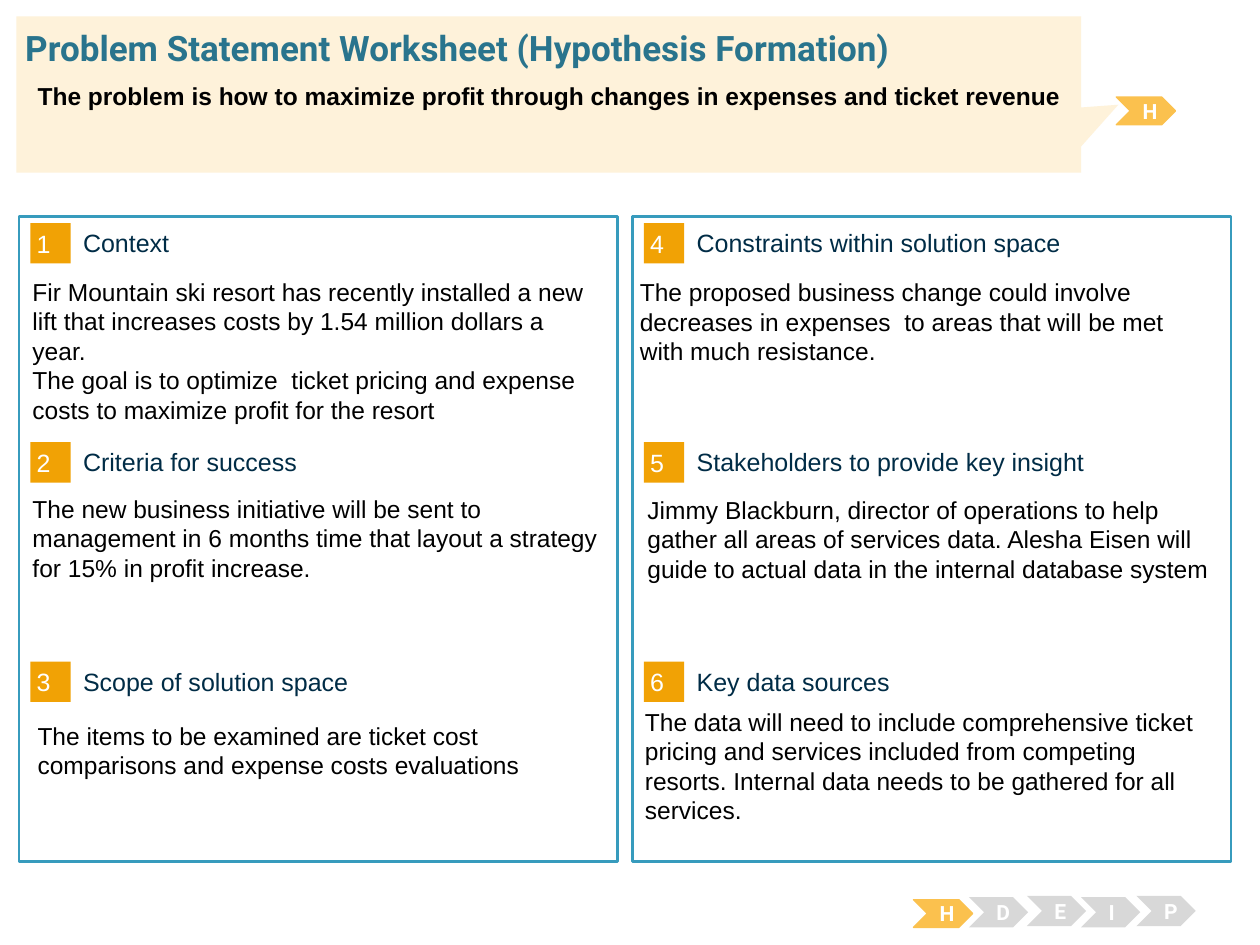
import pptx
import pptx.util
import pptx.dml.color
import pptx.enum.shapes
import pptx.enum.text

Inches = pptx.util.Inches
SHAPES = pptx.enum.shapes.MSO_SHAPE
ALIGN = pptx.enum.text.PP_ALIGN
ANCHOR = pptx.enum.text.MSO_ANCHOR

COLORS = {
    "white": "FFFFFF", "black": "000000", "frame": "379BBD", "badge": "F1A205",
    "heading": "002C46", "active": "FBC14E", "idle": "D8D8D8",
    "banner": "FEF2DA", "title": "29748D",
}
TITLE = "Problem Statement Worksheet (Hypothesis Formation)"
PROBLEM = "The problem is how to maximize profit through changes in expenses and ticket revenue"
COLUMNS = [
    [
        ("Context", (0.16, 2.15, 1.36), [
            "Fir Mountain ski resort has recently installed a new lift that increases costs by 1.54 million dollars a year.",
            "The goal is to optimize  ticket pricing and expense costs to maximize profit for the resort"]),
        ("Criteria for success", (0.16, 3.87, 1.54), [
            "The new business initiative will be sent to management in 6 months time that layout a strategy for 15% in profit increase."]),
        ("Scope of solution space", (0.2, 5.67, 0.82), [
            "The items to be examined are ticket cost comparisons and expense costs evaluations"]),
    ],
    [
        ("Constraints within solution space", (4.98, 2.15, 1.18), [
            "The proposed business change could involve decreases in expenses  to areas that will be met with much resistance."]),
        ("Stakeholders to provide key insight", (5.04, 3.88, 1.18), [
            "Jimmy Blackburn, director of operations to help gather all areas of services data. Alesha Eisen will guide to actual data in the internal database system"]),
        ("Key data sources", (5.02, 5.56, 1.18), [
            "The data will need to include comprehensive ticket pricing and services included from competing resorts. Internal data needs to be gathered for all services."]),
    ],
]
STAGES = [("H", 7.25, 7.14), ("D", 7.69, 7.12), ("E", 8.15, 7.11),
          ("I", 8.58, 7.12), ("P", 9.02, 7.11), ("H", 8.86, 0.77)]
PANEL_LEFT, PANEL_TOP, PANEL_WIDTH, PANEL_HEIGHT = 0.15, 1.72, 4.75, 5.12
COLUMN_STEP, ROW_STEP = 4.87, 1.74
BODY_WIDTH = 4.73


def rgb(name):
    return pptx.dml.color.RGBColor.from_string(COLORS[name])


def write(box, texts, size, color, font="Arial", bold=False, align=ALIGN.LEFT,
          anchor=ANCHOR.TOP, insets=(0.1, 0.05)):
    frame = box.text_frame
    frame.word_wrap = True
    frame.auto_size = pptx.enum.text.MSO_AUTO_SIZE.NONE
    frame.vertical_anchor = anchor
    frame.margin_left = frame.margin_right = Inches(insets[0])
    frame.margin_top = frame.margin_bottom = Inches(insets[1])
    frame.text = "\n".join(texts)
    for para in frame.paragraphs:
        para.alignment = align
        para.font.name = font
        para.font.size = pptx.util.Pt(size)
        para.font.bold = bold
        para.font.color.rgb = rgb(color)


def add_shape(kind, place, fill, line=None, weight=0.75):
    shape = page.shapes.add_shape(kind, *map(Inches, place))
    shape.shadow.inherit = False
    shape.fill.solid()
    shape.fill.fore_color.rgb = rgb(fill)
    if line:
        shape.line.color.rgb = rgb(line)
        shape.line.width = pptx.util.Pt(weight)
    else:
        shape.line.fill.background()
    return shape


def add_text(place, texts, size, color, **style):
    write(page.shapes.add_textbox(*map(Inches, place)), texts, size, color, **style)


deck = pptx.Presentation()
deck.slide_width, deck.slide_height = Inches(10), Inches(7.5)
page = deck.slides.add_slide(deck.slide_layouts[5])

for column, sections in enumerate(COLUMNS):
    left = PANEL_LEFT + column * COLUMN_STEP
    add_shape(SHAPES.RECTANGLE, (left, PANEL_TOP, PANEL_WIDTH, PANEL_HEIGHT),
              "white", "frame", 1.5)
    for row, (heading, (body_left, body_top, body_height), texts) in enumerate(sections):
        top = PANEL_TOP + 0.05 + row * ROW_STEP
        badge = add_shape(SHAPES.RECTANGLE, (left + 0.09, top, 0.32, 0.32), "badge")
        number = column * len(sections) + row + 1
        write(badge, [str(number)], 14.3, "white", anchor=ANCHOR.MIDDLE, insets=(0.05, 0.05))
        add_text((left + 0.51, top + 0.03, 3.93, 0.25), [heading], 14.3, "heading",
                 anchor=ANCHOR.MIDDLE, insets=(0, 0))
        add_text((body_left, body_top, BODY_WIDTH, body_height), texts, 14, "black")

for letter, left, top in STAGES:
    active = letter == "H"
    chevron = add_shape(SHAPES.CHEVRON, (left, top, 0.47, 0.22 if active else 0.24),
                        "active" if active else "idle", "active" if active else None)
    write(chevron, [letter], 12, "white", font="Roboto", bold=True,
          align=ALIGN.CENTER, anchor=ANCHOR.MIDDLE)

banner = add_shape(SHAPES.RECTANGULAR_CALLOUT, (0.13, 0.13, 8.45, 1.24), "banner")
banner.adjustments[0], banner.adjustments[1] = 0.535, 0.066

title = page.shapes.title
title.left, title.top, title.width, title.height = map(Inches, (0.2, 0.21, 9.62, 0.34))
write(title, [TITLE], 20, "title", font="Roboto", bold=True, insets=(0, 0))
banner.element.addnext(title.element)

add_text((0.2, 0.59, 9.39, 0.54), [PROBLEM], 14, "black", bold=True)

deck.save("out.pptx")
